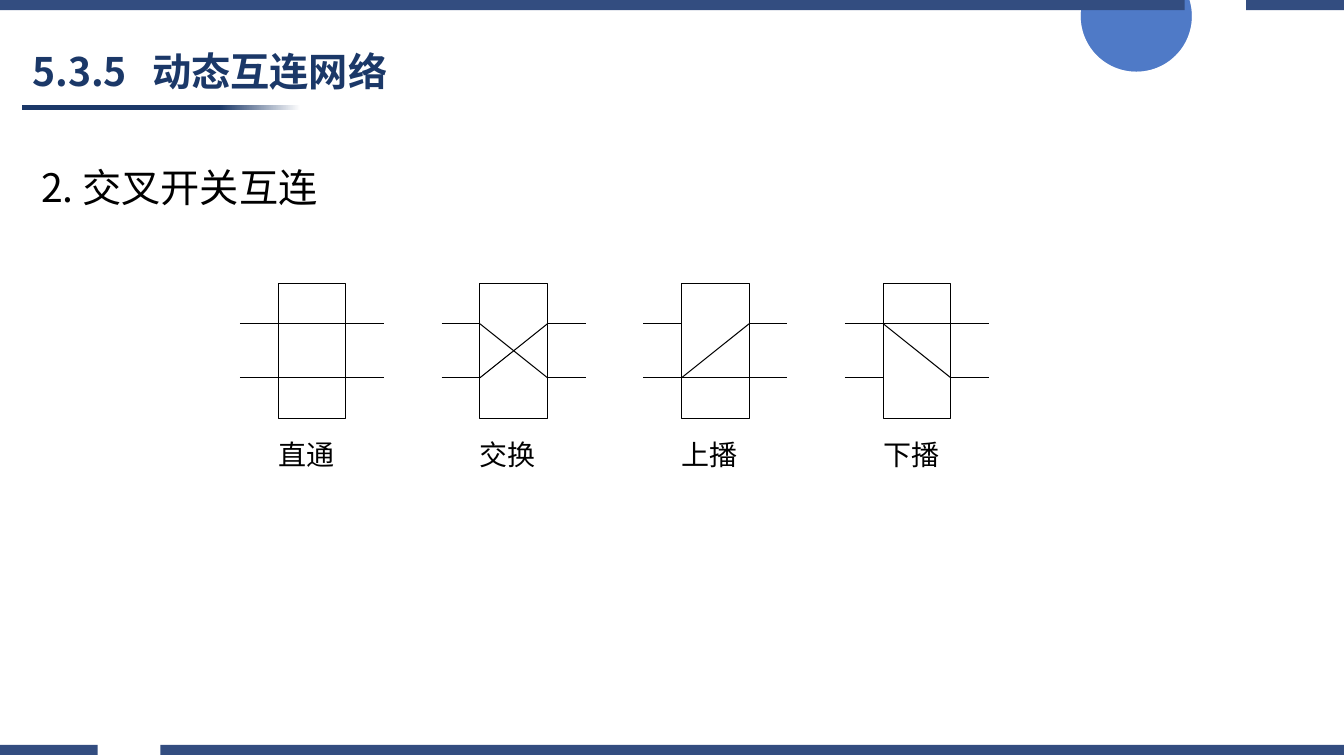
import pptx
import pptx.util
import pptx.dml.color
import pptx.enum.shapes
import pptx.enum.text
import pptx.oxml
import pptx.oxml.ns

# Content
TITLE = "5.3.5\t动态互连网络"
HEADING = "2. 交叉开关互连"
# Each switch: label and its inner wires (input row, output row)
SWITCHES = [
    ("直通", [(0, 0), (1, 1)]),
    ("交换", [(0, 1), (1, 0)]),
    ("上播", [(1, 1), (1, 0)]),
    ("下播", [(0, 0), (0, 1)]),
]
SANS, SERIF = "Noto Sans CJK SC", "Times New Roman"
NAVY, BAR, BLUE, BLACK, WHITE = "1B3868", "334D80", "4472C4", "000000", "FFFFFF"

# Layout, in inches
WIDTH, HEIGHT = 13.33, 7.5
BAR_HEIGHT = 0.1
BARS = [(0, 11.75, 12.36), (7.39, 0.97, 1.59)]  # top, gap start, gap end
SWITCH_LEFT, SWITCH_TOP, PITCH = 2.76, 2.81, 2.0
BOX_WIDTH, BOX_HEIGHT, LEAD = 0.67, 1.34, 0.38
WIRE_ROWS = [SWITCH_TOP + BOX_HEIGHT * share for share in (0.3, 0.7)]
LABEL_TOP, LABEL_WIDTH, LABEL_HEIGHT, LABEL_INSET = 4.29, 0.91, 0.44, 0.1

inches = pptx.util.Inches
SHAPES = pptx.enum.shapes.MSO_SHAPE


def color(value):
    return pptx.dml.color.RGBColor.from_string(value)


def add_xml(parent, tag, **attributes):
    element = pptx.oxml.parse_xml(f"<a:{tag} {pptx.oxml.ns.nsdecls('a')}/>")
    for name, value in attributes.items():
        element.set(name, str(value))
    parent.append(element)
    return element


def write(shape, text, size, font=SANS, fill=BLACK, bold=False,
          spacing=None, tab=None, anchor=pptx.enum.text.MSO_ANCHOR.TOP):
    frame = shape.text_frame
    frame.word_wrap = True
    frame.vertical_anchor = anchor
    paragraph = frame.paragraphs[0]
    paragraph.alignment = pptx.enum.text.PP_ALIGN.LEFT
    if spacing:
        paragraph.line_spacing = spacing
    if tab:
        tabs = add_xml(paragraph._p.get_or_add_pPr(), "tabLst")
        add_xml(tabs, "tab", pos=inches(tab), algn="l")
    run = paragraph.add_run()
    run.text = text
    run.font.size = pptx.util.Pt(size)
    run.font.bold = bold
    run.font.color.rgb = color(fill)
    run.font.name = font
    add_xml(run.font._element, "ea", typeface=SANS)


def place(shape, left, top, width, height):
    shape.left, shape.top = inches(left), inches(top)
    shape.width, shape.height = inches(width), inches(height)


def add_shape(shapes, kind, left, top, width, height):
    shape = shapes.add_shape(kind, *map(inches, (left, top, width, height)))
    shape.shadow.inherit = False
    shape.line.fill.background()
    return shape


def add_text(shapes, text, left, top, width, height, **style):
    box = shapes.add_textbox(*map(inches, (left, top, width, height)))
    write(box, text, **style)


def add_line(shapes, *ends):
    line = shapes.add_connector(pptx.enum.shapes.MSO_CONNECTOR.STRAIGHT, *map(inches, ends))
    line.line.color.rgb = color(BLACK)
    line.line.width = pptx.util.Pt(0.75)
    add_xml(line._element.spPr, "effectLst")


def add_bar(shapes, top, gap_start, gap_end):
    bottom = top + BAR_HEIGHT
    builder = shapes.build_freeform(0, inches(top))
    for index, (left, right) in enumerate([(0, gap_start), (gap_end, WIDTH)]):
        if index:
            builder.move_to(inches(left), inches(top))
        corners = [(right, top), (right, bottom), (left, bottom)]
        builder.add_line_segments([(inches(x), inches(y)) for x, y in corners])
    bar = builder.convert_to_shape()
    bar.shadow.inherit = False
    bar.fill.solid()
    bar.fill.fore_color.rgb = color(BAR)
    bar.line.fill.background()


def add_switch(shapes, left, label, wires):
    right = left + BOX_WIDTH
    box = add_shape(shapes, SHAPES.RECTANGLE, left, SWITCH_TOP, BOX_WIDTH, BOX_HEIGHT)
    box.fill.background()
    box.line.color.rgb = color(BLACK)
    box.line.width = pptx.util.Pt(0.75)
    for y in WIRE_ROWS:
        add_line(shapes, left - LEAD, y, left, y)
        add_line(shapes, right, y, right + LEAD, y)
    for start, end in wires:
        add_line(shapes, left, WIRE_ROWS[start], right, WIRE_ROWS[end])
    add_text(shapes, label, left - LABEL_INSET, LABEL_TOP, LABEL_WIDTH, LABEL_HEIGHT,
             size=20, font=SERIF)


def main():
    presentation = pptx.Presentation()
    presentation.slide_width, presentation.slide_height = inches(WIDTH), inches(HEIGHT)
    slide = presentation.slides.add_slide(presentation.slide_layouts[5])
    shapes = slide.shapes

    # Two stacked translucent circles
    for _ in range(2):
        circle = add_shape(shapes, SHAPES.OVAL, 10.72, -0.39, 1.1, 1.1)
        circle.fill.solid()
        circle.fill.fore_color.rgb = color(BLUE)
        tint = circle._element.spPr.find(".//" + pptx.oxml.ns.qn("a:srgbClr"))
        add_xml(tint, "alpha", val=75000)

    # Fading rule under the title
    rule = add_shape(shapes, SHAPES.RECTANGLE, 0.22, 1.04, 2.76, 0.05)
    rule.fill.gradient()
    rule.fill.gradient_angle = 0
    for stop, position, value in zip(rule.fill.gradient_stops, (0.71, 1), (NAVY, WHITE)):
        stop.position = position
        stop.color.rgb = color(value)

    # Edge bars
    for bar in BARS:
        add_bar(shapes, *bar)

    # Title and heading
    place(shapes.title, 0.22, 0.45, 4.74, 0.56)
    write(shapes.title, TITLE, size=28, fill=NAVY, bold=True, spacing=0.9, tab=1.19,
          anchor=pptx.enum.text.MSO_ANCHOR.MIDDLE)
    add_text(shapes, HEADING, 0.31, 1.34, 11.93, 0.7, size=28, spacing=1.5)

    # Switch states
    diagram = shapes.add_group_shape()
    for index, (label, wires) in enumerate(SWITCHES):
        add_switch(diagram.shapes, SWITCH_LEFT + index * PITCH, label, wires)

    presentation.save("out.pptx")


if __name__ == "__main__":
    main()
